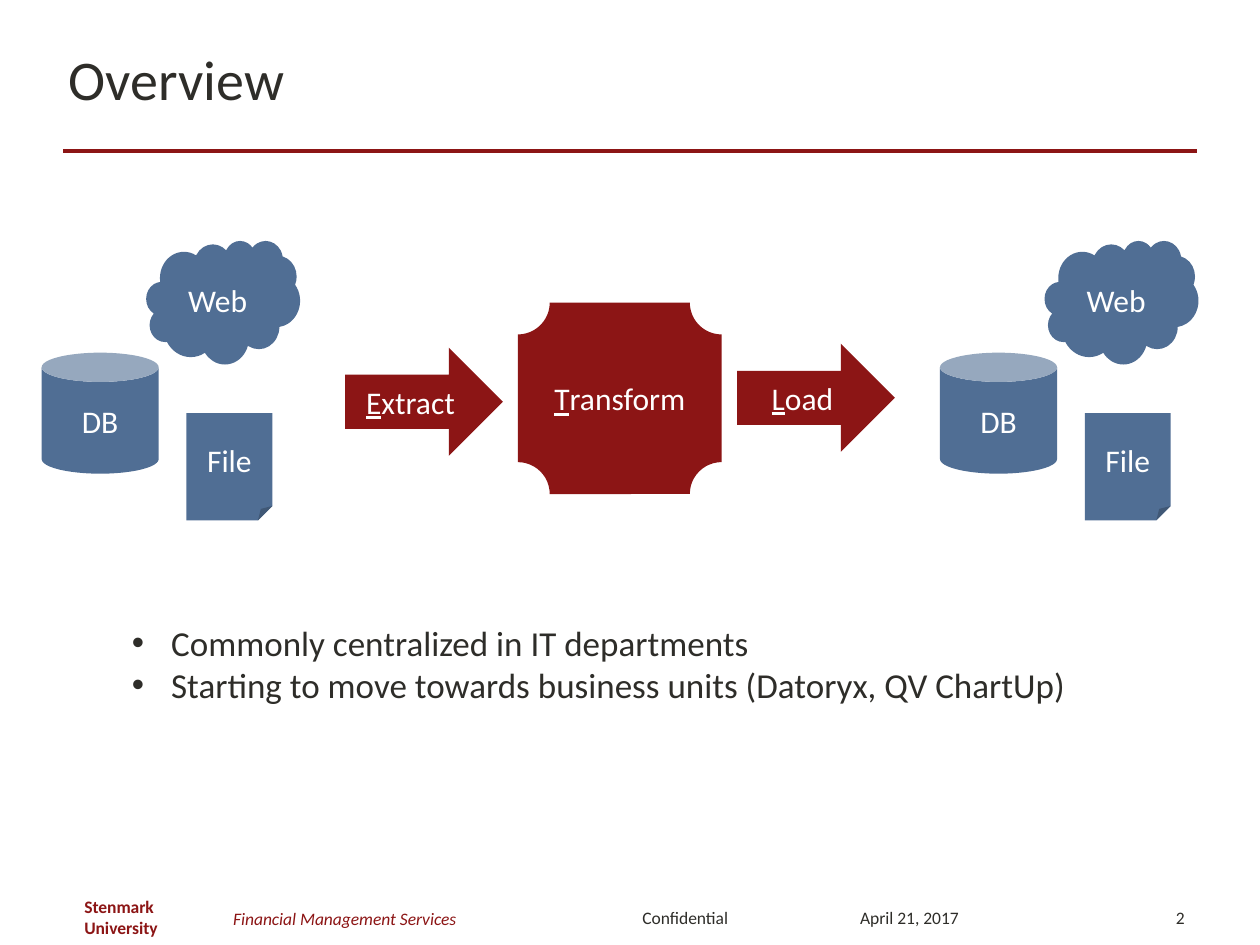
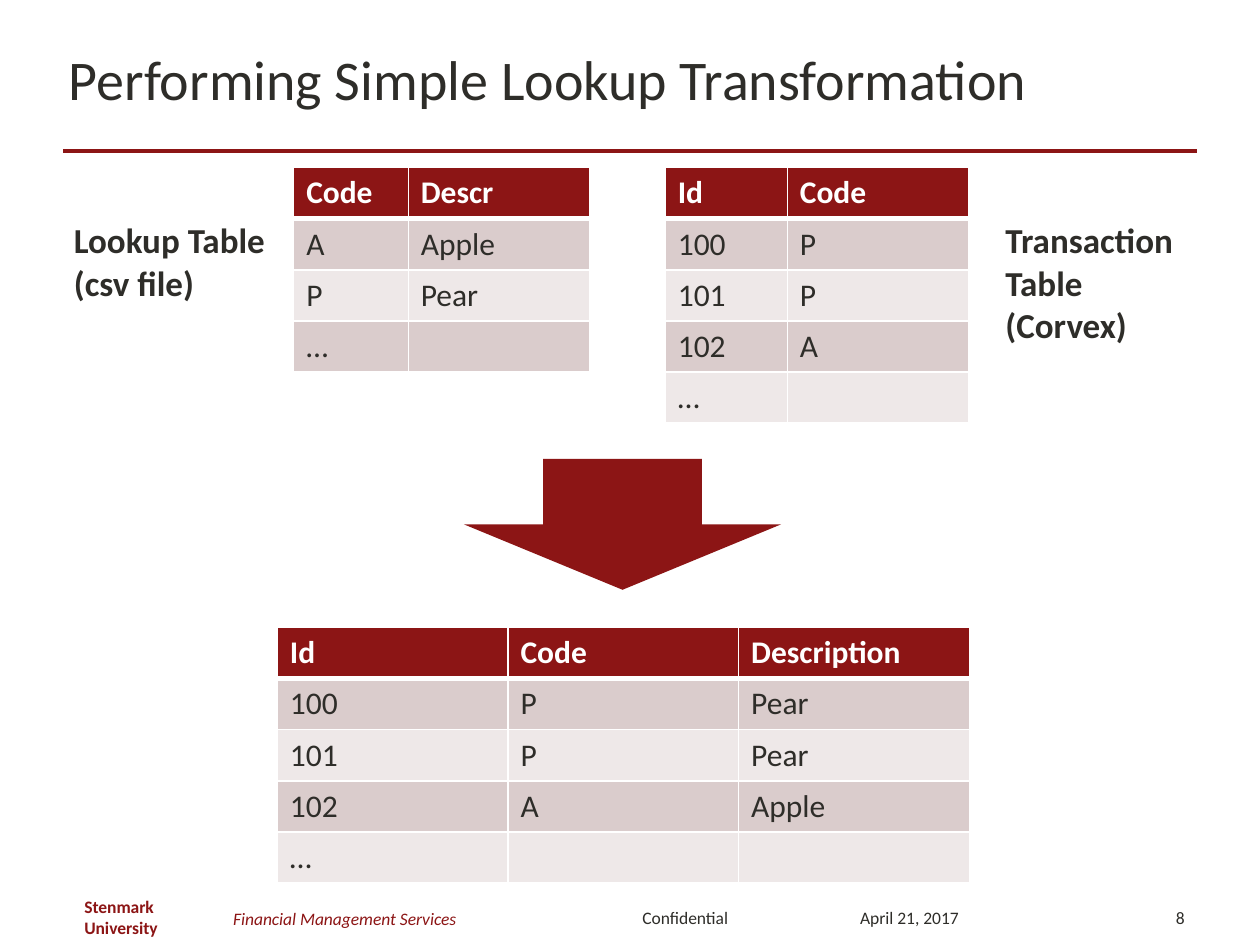
from lxml.etree import SubElement as Sub
from pptx import Presentation
from pptx.dml.color import RGBColor
from pptx.enum.shapes import MSO_CONNECTOR as Link, MSO_SHAPE as Kind
from pptx.enum.text import MSO_ANCHOR as Anchor, PP_ALIGN as Align
from pptx.oxml.ns import qn
from pptx.util import Cm, Pt

RED = RGBColor(0x8C, 0x15, 0x15)
BLUE = RGBColor(0x50, 0x6E, 0x94)
INK = RGBColor(0x2E, 0x2D, 0x29)
WHITE = RGBColor(0xFF, 0xFF, 0xFF)
ROSE = RGBColor(0xDA, 0xCC, 0xCC)
PALE = RGBColor(0xEE, 0xE8, 0xE8)
FONT = "Calibri"
ROW = 1.03  # table row height, cm


class Deck:
    """Holds the shared style and the slide being filled."""

    def __init__(self):
        """Open an empty 4:3 presentation."""
        self.prs = Presentation()
        self.prs.slide_width, self.prs.slide_height = Cm(25.4), Cm(19.05)
        self.page = None

    def slide(self, title, number):
        """Start a slide with its title, rule and footer."""
        self.page = self.prs.slides.add_slide(self.prs.slide_layouts[6])
        self.rule(1.27, 24.13, 3.05)
        self.text(title, 1.14, 0.46, 22.86, 2.21, size=32, anchor=Anchor.MIDDLE)
        self.foot("Confidential", 12.7, 2.59)
        self.foot("Stenmark University", 1.45, 3.38, color=RED, bold=True, wrap=False)
        self.foot("Financial Management Services", 4.45, 8.05, top=18.01,
                  color=RED, italic=True)
        self.foot("April 21, 2017", 17.09, 3.51)
        self.foot(str(number), 22.43, 1.7, align=Align.RIGHT)

    def style(self, frame, size, color, bold=False, italic=False, align=Align.LEFT):
        """Format every paragraph and run of a text frame."""
        for para in frame.paragraphs:
            para.alignment = align
            for run in para.runs:
                font = run.font
                font.name, font.size = FONT, Pt(size)
                font.bold, font.italic = bold, italic
                font.color.rgb = color

    def text(self, words, x, y, w, h, size=20, color=INK, anchor=Anchor.TOP,
             wrap=True, **look):
        """Add a text box and return its frame."""
        frame = self.page.shapes.add_textbox(Cm(x), Cm(y), Cm(w), Cm(h)).text_frame
        frame.word_wrap, frame.vertical_anchor = wrap, anchor
        frame.text = words
        self.style(frame, size, color, **look)
        return frame

    def foot(self, words, x, w, top=17.98, **look):
        """Add one part of the footer."""
        self.text(words, x, top, w, 1.02, size=10, anchor=Anchor.MIDDLE, **look)

    def list(self, words, x, y, w, h):
        """Add a bulleted text box."""
        for para in self.text(words, x, y, w, h).paragraphs:
            props = para._p.get_or_add_pPr()
            props.set("marL", str(Cm(0.79)))
            props.set("indent", str(-Cm(0.79)))
            Sub(props, qn("a:buFont"), typeface="Arial")
            Sub(props, qn("a:buChar"), char="•")

    def rule(self, left, right, y):
        """Draw the red line below the title."""
        line = self.page.shapes.add_connector(
            Link.STRAIGHT, Cm(left), Cm(y), Cm(right), Cm(y))
        line.line.color.rgb, line.line.width = RED, Pt(2.25)
        Sub(line._element.spPr, qn("a:effectLst"))

    def shape(self, kind, x, y, w, h, fill, label="", mark=False):
        """Add a filled shape; mark underlines the label's first letter."""
        box = self.page.shapes.add_shape(kind, Cm(x), Cm(y), Cm(w), Cm(h))
        box.shadow.inherit = False
        box.fill.solid()
        box.fill.fore_color.rgb = fill
        box.line.fill.background()
        frame = box.text_frame
        frame.vertical_anchor = Anchor.MIDDLE
        frame.text = label[:1] if mark else label
        if mark:
            para = frame.paragraphs[0]
            para.runs[0].font.underline = True
            para.add_run().text = label[1:]
        self.style(frame, 18, WHITE, align=Align.CENTER)

    def edge(self, cell, row):
        """Draw white cell borders, thick between header and body."""
        props = cell._tc.get_or_add_tcPr()
        thick = {(0, "B"), (1, "T")}
        for side in "LRTB":
            width = Pt(3 if (row, side) in thick else 1)
            line = Sub(props, qn("a:ln" + side), w=str(width))
            paint = Sub(line, qn("a:solidFill"))
            Sub(paint, qn("a:srgbClr"), val=str(WHITE))

    def table(self, x, y, widths, rows):
        """Add a table with a red header and banded rows."""
        grid = self.page.shapes.add_table(
            len(rows), len(widths), Cm(x), Cm(y), Cm(sum(widths)),
            Cm(ROW * len(rows))).table
        for col, width in zip(grid.columns, widths):
            col.width = Cm(width)
        for r, row in enumerate(rows):
            grid.rows[r].height = Cm(ROW)
            head = r == 0
            for c, words in enumerate(row):
                cell = grid.cell(r, c)
                self.edge(cell, r)
                cell.fill.solid()
                cell.fill.fore_color.rgb = RED if head else ROSE if r % 2 else PALE
                cell.text_frame.text = words
                self.style(cell.text_frame, 18, WHITE if head else INK, bold=head)

    def stores(self, x):
        """Add the database, web and file group at a left edge."""
        self.shape(Kind.CAN, x, 7.11, 2.36, 2.44, BLUE, "DB")
        self.shape(Kind.CLOUD, x + 2.11, 4.85, 3.1, 2.49, BLUE, "Web")
        self.shape(Kind.FOLDED_CORNER, x + 2.92, 8.33, 1.73, 2.16, BLUE, "File")


def flow(deck):
    """Build the extract, transform, load overview."""
    deck.slide("Overview", 2)
    deck.stores(0.84)
    deck.shape(Kind.PLAQUE, 10.44, 6.1, 4.11, 3.86, RED, "Transform", mark=True)
    for label, x, y in (("Extract", 6.96, 7.01), ("Load", 14.86, 6.93)):
        deck.shape(Kind.RIGHT_ARROW, x, y, 3.18, 2.18, RED, label, mark=True)
    deck.stores(18.95)
    deck.list("Commonly centralized in IT departments\n"
              "Starting to move towards business units (Datoryx, QV ChartUp)",
              2.41, 12.4, 20.17, 1.96)


def lookup(deck):
    """Build the lookup example: two tables joined into one."""
    deck.slide("Performing Simple Lookup Transformation", 8)
    names = {"A": "Apple", "P": "Pear"}
    sales = [("100", "P"), ("101", "P"), ("102", "A")]
    joined = [(key, code, names[code]) for key, code in sales]
    deck.table(5.92, 3.38, (2.31, 3.66),
               [("Code", "Descr"), *names.items(), ("…", "")])
    deck.table(13.41, 3.38, (2.46, 3.66), [("Id", "Code"), *sales, ("…", "")])
    deck.table(5.59, 12.65, (4.65,) * 3,
               [("Id", "Code", "Description"), *joined, ("…", "", "")])
    deck.shape(Kind.DOWN_ARROW, 9.35, 9.25, 6.4, 2.64, RED)
    deck.text("Lookup Table\n(csv file)", 1.24, 4.29, 4.42, 1.96,
              bold=True, wrap=False)
    deck.text("Transaction Table\n(Corvex)", 20.02, 4.29, 3.94, 2.82, bold=True)


deck = Deck()
flow(deck)
lookup(deck)
deck.prs.save("out.pptx")
